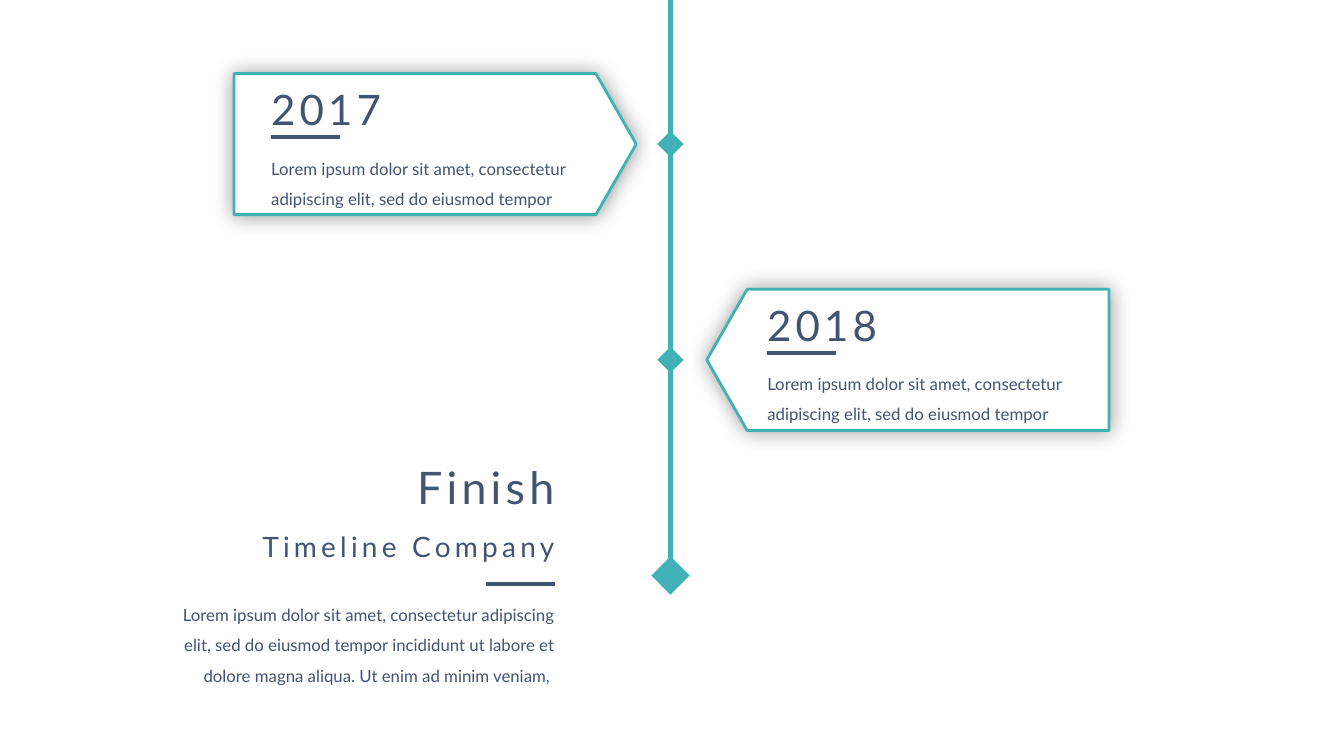
import pptx
import pptx.dml.color
import pptx.enum.shapes
import pptx.enum.text
import pptx.oxml
import pptx.oxml.ns
import pptx.util

Inches = pptx.util.Inches
Pt = pptx.util.Pt
SHAPE = pptx.enum.shapes.MSO_SHAPE
ALIGN = pptx.enum.text.PP_ALIGN

# Content
SUMMARY = "Lorem ipsum dolor sit amet, consectetur adipiscing elit, sed do eiusmod tempor"
# year, text, card left, card top, rotation, text left
EVENTS = [
    ("2017", SUMMARY, 2.32, 0.73, 0, 2.69),
    ("2018", SUMMARY, 7.01, 2.87, 180, 7.61),
]
FINISH_TITLE = "Finish"
FINISH_SUBTITLE = "Timeline Company"
FINISH_TEXT = ("Lorem ipsum dolor sit amet, consectetur adipiscing elit, sed do eiusmod tempor "
               "incididunt ut labore et dolore magna aliqua. Ut enim ad minim veniam, ")

# Style
TEAL, NAVY, WHITE = "40B1B5", "425471", "FFFFFF"
FONT = "Lato"
AXIS_X = 6.65
FINISH_Y = 5.71
FINISH_RIGHT = 5.5
CARD_WIDTH, CARD_HEIGHT = 3.99, 1.4
RULE_WIDTH = 0.68


def color(hex_value):
    return pptx.dml.color.RGBColor.from_string(hex_value)


def write(box, text, size=12, align=ALIGN.LEFT, tracking=0, line_spacing=None, wrap=False):
    frame = box.text_frame
    frame.margin_left = frame.margin_right = frame.margin_top = frame.margin_bottom = 0
    frame.vertical_anchor = pptx.enum.text.MSO_ANCHOR.TOP
    frame.word_wrap = wrap
    frame.auto_size = pptx.enum.text.MSO_AUTO_SIZE.SHAPE_TO_FIT_TEXT
    para = frame.paragraphs[0]
    para.alignment = align
    if line_spacing:
        para.line_spacing = line_spacing
    span = para.add_run()
    span.text = text
    span.font.name = FONT
    span.font.size = Pt(size)
    span.font.color.rgb = color(NAVY)
    if tracking:
        span.font._element.set("spc", str(tracking * 100))


def add_text(page, left, top, width, height, text, **style):
    box = page.shapes.add_textbox(Inches(left), Inches(top), Inches(width), Inches(height))
    write(box, text, **style)


def add_line(page, x1, y1, x2, y2, line_color):
    line = page.shapes.add_connector(pptx.enum.shapes.MSO_CONNECTOR.STRAIGHT,
                                     Inches(x1), Inches(y1), Inches(x2), Inches(y2))
    line.line.color.rgb = color(line_color)
    line.line.width = Pt(3)
    pptx.oxml.ns  # namespace helpers used below
    line._element.spPr.append(pptx.oxml.parse_xml(
        f"<a:effectLst {pptx.oxml.ns.nsdecls('a')}/>"))


def add_shape(page, kind, left, top, width, height, fill):
    shape = page.shapes.add_shape(kind, Inches(left), Inches(top), Inches(width), Inches(height))
    shape.shadow.inherit = False
    shape.fill.solid()
    shape.fill.fore_color.rgb = color(fill)
    shape.line.fill.background()
    return shape


def add_diamond(page, y, size):
    add_shape(page, SHAPE.DIAMOND, AXIS_X - size / 2, y - size / 2, size, size, TEAL)


def add_card(page, left, top, rotation):
    card = add_shape(page, SHAPE.PENTAGON, left, top, CARD_WIDTH, CARD_HEIGHT, WHITE)
    card.adjustments[0] = 0.286
    card.rotation = rotation
    card.line.color.rgb = color(TEAL)
    card.line.width = Pt(2)
    # Soft glow around the card
    effects = card._element.spPr.find(pptx.oxml.ns.qn("a:effectLst"))
    effects.append(pptx.oxml.parse_xml(
        f'<a:outerShdw {pptx.oxml.ns.nsdecls("a")} blurRad="{Pt(15)}" dist="0" dir="0" '
        'algn="ctr" rotWithShape="0"><a:srgbClr val="000000"><a:alpha val="40000"/>'
        "</a:srgbClr></a:outerShdw>"))


def main():
    deck = pptx.Presentation()
    deck.slide_width, deck.slide_height = Inches(13.33), Inches(7.5)
    page = deck.slides.add_slide(deck.slide_layouts[5])

    # Timeline axis with its end marker
    add_line(page, AXIS_X, FINISH_Y, AXIS_X, 0, TEAL)
    add_diamond(page, FINISH_Y, 0.38)

    # Yearly events
    for year, text, left, top, rotation, text_left in EVENTS:
        add_diamond(page, top + CARD_HEIGHT / 2, 0.26)
        add_card(page, left, top, rotation)
        add_text(page, text_left, top + 0.1, 1.14, 0.5, year, size=30, tracking=3)
        add_text(page, text_left, top + 0.74, 3.39, 0.57, text, line_spacing=1.5, wrap=True)
        add_line(page, text_left, top + 0.63, text_left + RULE_WIDTH, top + 0.63, NAVY)

    # Finish block, flush right
    title = page.shapes.title
    title.left, title.top = Inches(FINISH_RIGHT - 1.44), Inches(4.56)
    title.width, title.height = Inches(1.44), Inches(0.54)
    write(title, FINISH_TITLE, size=32, align=ALIGN.RIGHT, tracking=3)
    add_text(page, FINISH_RIGHT - 3, 5.25, 3, 0.34, FINISH_SUBTITLE,
             size=20, align=ALIGN.RIGHT, tracking=3)
    add_text(page, FINISH_RIGHT - 3.88, 5.9, 3.88, 0.87, FINISH_TEXT,
             align=ALIGN.RIGHT, line_spacing=1.5, wrap=True)
    add_line(page, FINISH_RIGHT - RULE_WIDTH, 5.79, FINISH_RIGHT, 5.79, NAVY)

    deck.save("out.pptx")


if __name__ == "__main__":
    main()
